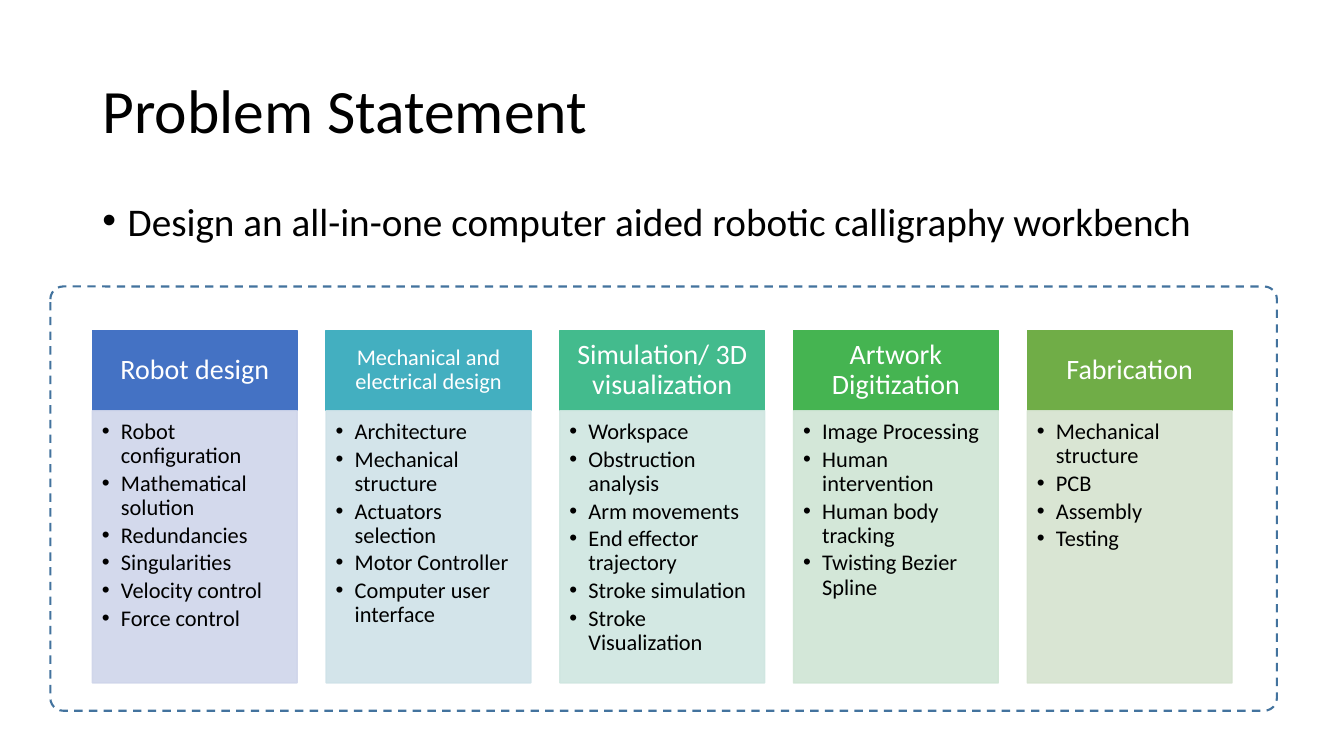
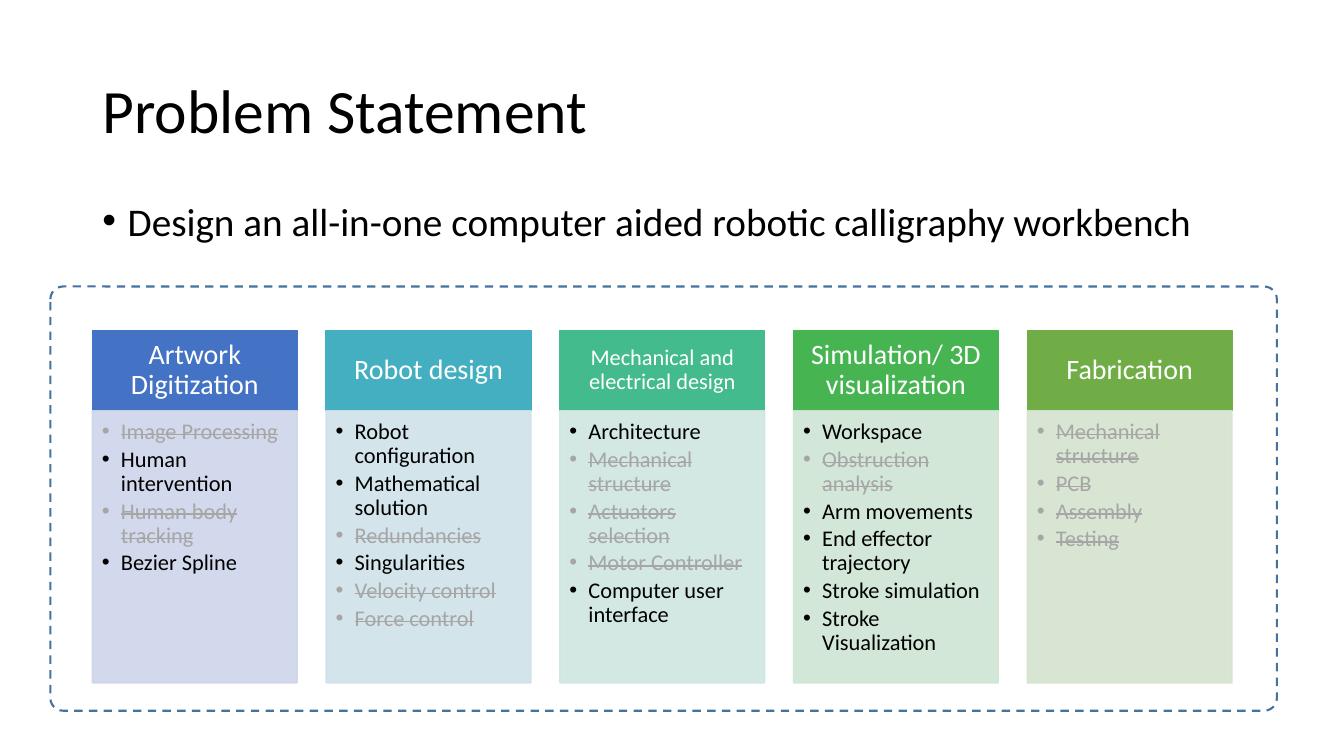
from dataclasses import dataclass, replace
from typing import Any

from lxml.etree import SubElement
from pptx import Presentation
from pptx.dml.color import RGBColor
from pptx.enum.dml import MSO_LINE
from pptx.enum.shapes import MSO_SHAPE
from pptx.enum.text import MSO_ANCHOR, PP_ALIGN
from pptx.oxml.ns import qn
from pptx.util import Cm, Pt

FONT = "Calibri"
BLACK, WHITE, GREY, FRAME_BLUE = "000000", "FFFFFF", "A6A6A6", "43739E"
COLUMN_COLOURS = [
    ("4472C4", "CFD5EA"),
    ("43AFC0", "CFE2E8"),
    ("43BB8D", "CFE6E0"),
    ("45B451", "CFE5D4"),
    ("70AD47", "D5E3CF"),
]
PANEL_OPACITY = 90

MARGIN, CONTENT_WIDTH = 2.33, 29.21
COLUMN_WIDTH, COLUMN_PITCH = 5.16, 5.89
HEADER_TOP, HEADER_HEIGHT, PANEL_HEIGHT = 8.33, 2.02, 6.86

TITLE_FORMAT = {"vertical_anchor": MSO_ANCHOR.MIDDLE, "word_wrap": True}
GOAL_FORMAT = {"vertical_anchor": MSO_ANCHOR.TOP, "word_wrap": True}
HEADER_FORMAT = TITLE_FORMAT | {
    "margin_left": Cm(0.4), "margin_right": Cm(0.4),
    "margin_top": Cm(0.23), "margin_bottom": Cm(0.23),
}
SMALL_HEADER_FORMAT = TITLE_FORMAT | {
    "margin_left": Cm(0.31), "margin_right": Cm(0.31),
    "margin_top": Cm(0.18), "margin_bottom": Cm(0.18),
}
PANEL_FORMAT = GOAL_FORMAT | {
    "margin_left": Cm(0.24), "margin_right": Cm(0.31),
    "margin_top": Cm(0.24), "margin_bottom": Cm(0.36),
}


@dataclass(frozen=True)
class Topic:
    title: str
    tasks: tuple[str, ...]
    dropped: tuple[str, ...] = ()
    small_title: bool = False


ROBOT = Topic("Robot design", (
    "Robot configuration", "Mathematical solution", "Redundancies",
    "Singularities", "Velocity control", "Force control"))
HARDWARE = Topic("Mechanical and electrical design", (
    "Architecture", "Mechanical structure", "Actuators selection",
    "Motor Controller", "Computer user interface"), small_title=True)
SIMULATION = Topic("Simulation/ 3D visualization", (
    "Workspace", "Obstruction analysis", "Arm movements",
    "End effector trajectory", "Stroke simulation", "Stroke Visualization"))
ARTWORK = Topic("Artwork Digitization", (
    "Image Processing", "Human intervention", "Human body tracking",
    "Twisting Bezier Spline"))
FABRICATION = Topic("Fabrication", (
    "Mechanical structure", "PCB", "Assembly", "Testing"))

FULL_SCOPE = [ROBOT, HARDWARE, SIMULATION, ARTWORK, FABRICATION]
REDUCED_SCOPE = [
    replace(ARTWORK, tasks=ARTWORK.tasks[:3] + ("Bezier Spline",),
            dropped=("Image Processing", "Human body tracking")),
    replace(ROBOT, dropped=("Redundancies", "Velocity control", "Force control")),
    replace(HARDWARE, dropped=HARDWARE.tasks[1:4]),
    replace(SIMULATION, dropped=("Obstruction analysis",)),
    replace(FABRICATION, dropped=FABRICATION.tasks),
]


def rgb(colour: str) -> RGBColor:
    return RGBColor.from_string(colour)


def set_format(target: Any, values: dict[str, Any]) -> None:
    for name, value in values.items():
        setattr(target, name, value)


def add_bullet(paragraph: Any, indent: float) -> None:
    """Give the paragraph a round bullet with a hanging indent in cm."""
    properties = paragraph._p.get_or_add_pPr()
    properties.set("marL", str(Cm(indent)))
    properties.set("indent", str(-Cm(indent)))
    SubElement(properties, qn("a:buFont")).set("typeface", "Arial")
    SubElement(properties, qn("a:buChar")).set("char", "•")


def write(paragraph: Any, text: str, size: float, colour: str = BLACK,
          struck: bool = False, **layout: Any) -> None:
    set_format(paragraph, {"alignment": PP_ALIGN.LEFT, "line_spacing": 0.9} | layout)
    run = paragraph.add_run()
    run.text = text
    set_format(run.font, {"name": FONT, "size": Pt(size)})
    run.font.color.rgb = rgb(colour)
    if struck:
        run._r.get_or_add_rPr().set("strike", "sngStrike")


def add_block(slide: Any, left: float, top: float, height: float,
              colour: str, opacity: int = 100) -> Any:
    block = slide.shapes.add_shape(
        MSO_SHAPE.RECTANGLE, Cm(left), Cm(top), Cm(COLUMN_WIDTH), Cm(height))
    block.shadow.inherit = False
    block.fill.solid()
    block.line.width = Pt(1)
    for paint in (block.fill, block.line.fill):
        paint.solid()
        paint.fore_color.rgb = rgb(colour)
    if opacity < 100:
        for tint in block._element.spPr.iter(qn("a:srgbClr")):
            SubElement(tint, qn("a:alpha")).set("val", str(opacity * 1000))
    return block


def add_topic(slide: Any, topic: Topic, left: float, strong: str, pale: str) -> None:
    header = add_block(slide, left, HEADER_TOP, HEADER_HEIGHT, strong).text_frame
    set_format(header, SMALL_HEADER_FORMAT if topic.small_title else HEADER_FORMAT)
    write(header.paragraphs[0], topic.title, 16 if topic.small_title else 20,
          WHITE, alignment=PP_ALIGN.CENTER)

    panel = add_block(slide, left, HEADER_TOP + HEADER_HEIGHT, PANEL_HEIGHT,
                      pale, PANEL_OPACITY).text_frame
    set_format(panel, PANEL_FORMAT)
    for index, task in enumerate(topic.tasks):
        paragraph = panel.add_paragraph() if index else panel.paragraphs[0]
        add_bullet(paragraph, 0.48)
        struck = task in topic.dropped
        write(paragraph, task, 16, GREY if struck else BLACK, struck,
              space_after=Pt(2.5))


def add_heading(slide: Any) -> None:
    title = slide.shapes.add_textbox(
        Cm(MARGIN), Cm(1.01), Cm(CONTENT_WIDTH), Cm(3.68)).text_frame
    set_format(title, TITLE_FORMAT)
    write(title.paragraphs[0], "Problem Statement", 44)

    goal = slide.shapes.add_textbox(
        Cm(MARGIN), Cm(5.07), Cm(CONTENT_WIDTH), Cm(1.25)).text_frame
    set_format(goal, GOAL_FORMAT)
    add_bullet(goal.paragraphs[0], 0.64)
    write(goal.paragraphs[0],
          "Design an all-in-one computer aided robotic calligraphy workbench",
          28, line_spacing=0.8)


def add_frame(slide: Any) -> None:
    frame = slide.shapes.add_shape(
        MSO_SHAPE.ROUNDED_RECTANGLE, Cm(1.27), Cm(7.22), Cm(30.91), Cm(10.69))
    frame.adjustments[0] = 0.03
    frame.shadow.inherit = False
    frame.fill.background()
    frame.line.color.rgb = rgb(FRAME_BLUE)
    set_format(frame.line, {"width": Pt(1.5), "dash_style": MSO_LINE.DASH})


def main() -> None:
    deck = Presentation()
    set_format(deck, {"slide_width": Cm(33.87), "slide_height": Cm(19.05)})
    for topics in (FULL_SCOPE, REDUCED_SCOPE):
        slide = deck.slides.add_slide(deck.slide_layouts[6])
        add_heading(slide)
        add_frame(slide)
        for column, (topic, colours) in enumerate(zip(topics, COLUMN_COLOURS)):
            add_topic(slide, topic, MARGIN + column * COLUMN_PITCH, *colours)
    deck.save("out.pptx")


if __name__ == "__main__":
    main()
